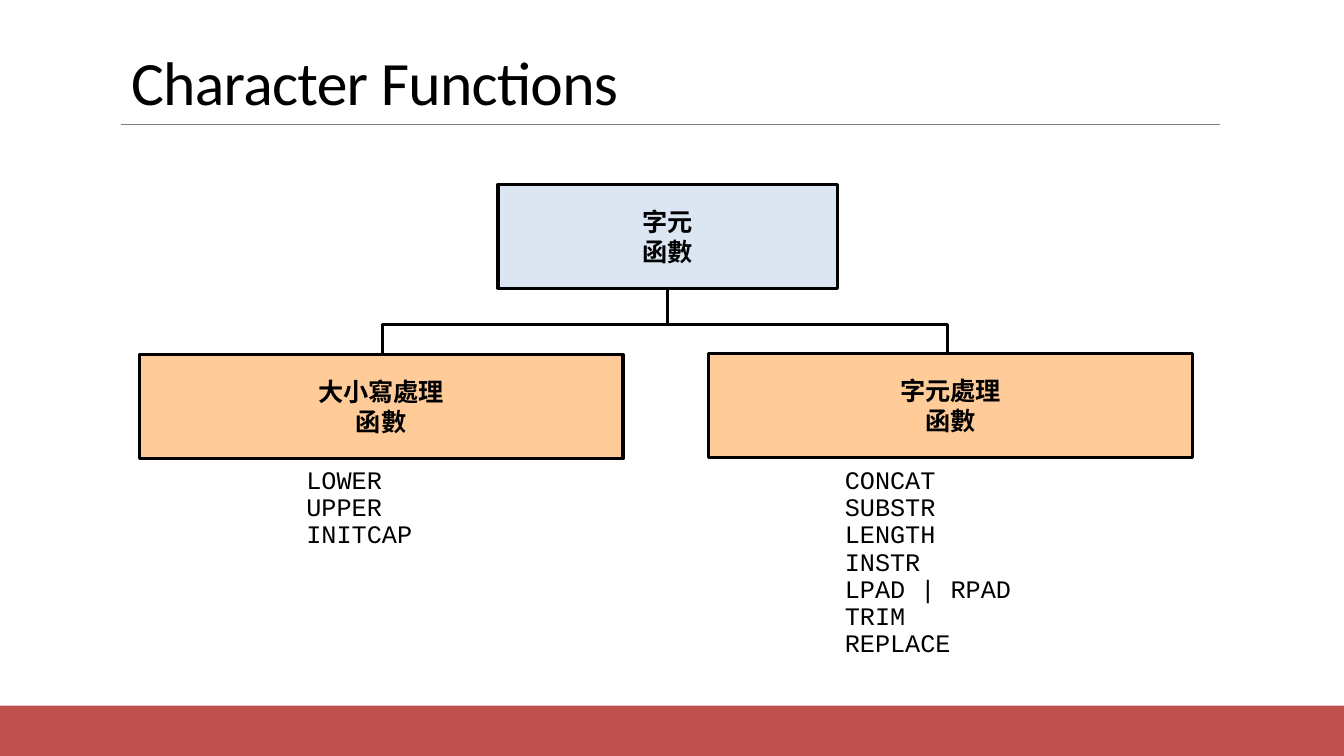
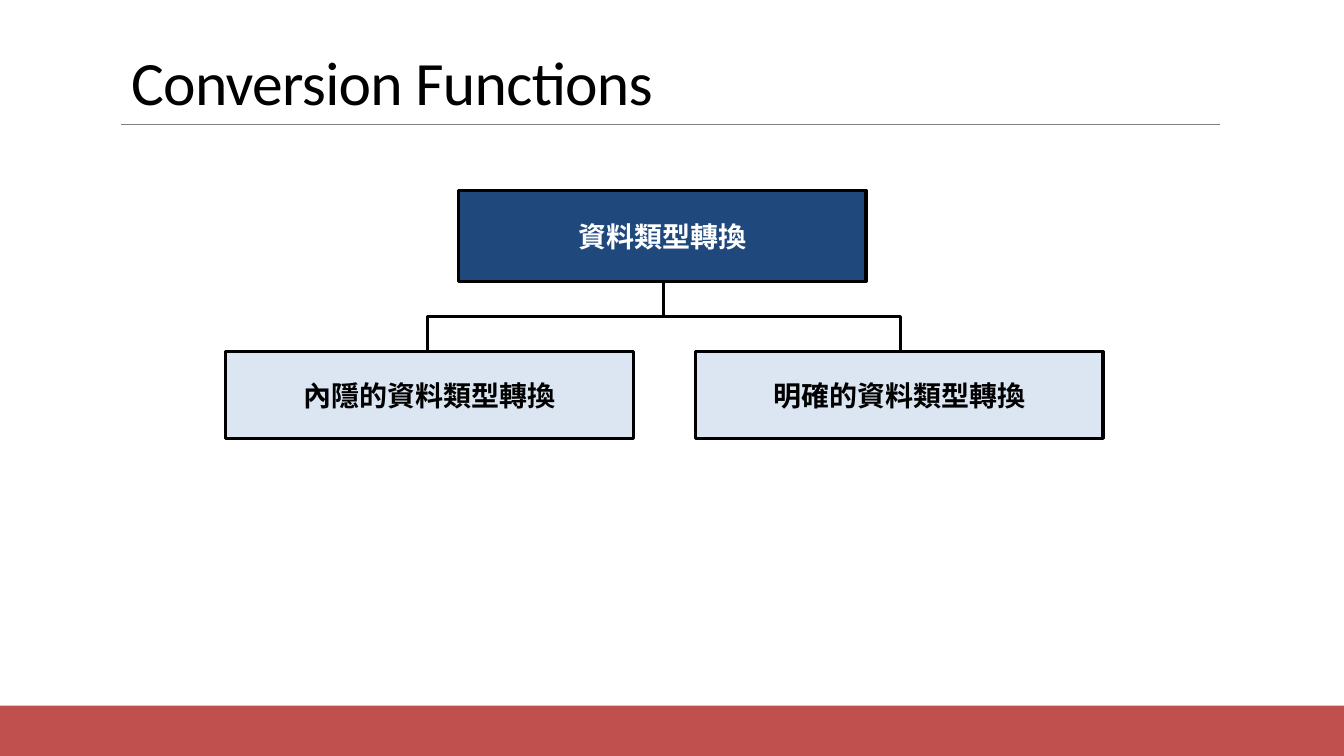
from dataclasses import dataclass

from lxml.etree import SubElement
from pptx import Presentation
from pptx.dml.color import RGBColor
from pptx.enum.shapes import MSO_CONNECTOR as Connector, MSO_SHAPE as Shape
from pptx.enum.text import MSO_ANCHOR as Anchor, MSO_AUTO_SIZE as AutoSize, PP_ALIGN as Align
from pptx.oxml.ns import qn
from pptx.slide import Slide, SlideLayout
from pptx.util import Inches, Pt

COLORS = {
    "black": "000000",
    "white": "FFFFFF",
    "band": "C0504D",
    "rule": "808080",
    "pale": "DCE6F2",
    "peach": "FFCC99",
    "navy": "1F497D",
}
TITLE_FONT = "Calibri"
CODE_FONT = "Courier New"
CJK_FONT = "Noto Sans CJK SC"
OUTLINE = 2.25


@dataclass(frozen=True)
class Node:
    text: str
    left: float
    top: float
    width: float
    height: float
    fill: str
    ink: str = "black"


@dataclass(frozen=True)
class CodeList:
    names: tuple[str, ...]
    left: float
    top: float
    width: float
    height: float


@dataclass(frozen=True)
class Branch:
    stem_x: float
    stem_top: float
    bar_y: float
    left_x: float
    right_x: float
    bottom: float


@dataclass(frozen=True)
class Diagram:
    title: str
    font: str
    size: int
    branch: Branch
    nodes: tuple[Node, ...]
    lists: tuple[CodeList, ...] = ()


DIAGRAMS = (
    Diagram(
        "Character Functions", TITLE_FONT, 18,
        Branch(6.62, 2.86, 3.22, 3.79, 9.4, 3.7),
        (
            Node("字元\n函數", 4.94, 1.83, 3.37, 1.03, "pale"),
            Node("大小寫處理\n函數", 1.38, 3.52, 4.8, 1.03, "peach"),
            Node("字元處理\n函數", 7.03, 3.51, 4.8, 1.03, "peach"),
        ),
        (
            CodeList(("LOWER", "UPPER", "INITCAP"), 2.94, 4.59, 1.3, 0.92),
            CodeList(
                ("CONCAT", "SUBSTR", "LENGTH", "INSTR", "LPAD | RPAD", "TRIM", "REPLACE"),
                8.28, 4.59, 2.51, 2.01,
            ),
        ),
    ),
    Diagram(
        "Conversion Functions", CJK_FONT, 20,
        Branch(6.58, 2.49, 3.14, 4.24, 8.93, 3.7),
        (
            Node("資料類型轉換", 4.55, 1.89, 4.04, 0.9, "navy", "white"),
            Node("內隱的資料類型轉換", 2.24, 3.49, 4.04, 0.86, "pale"),
            Node("明確的資料類型轉換", 6.9, 3.49, 4.04, 0.86, "pale"),
        ),
    ),
)


def color(name: str) -> RGBColor:
    return RGBColor.from_string(COLORS[name])


def style_text(shape, font: str, size: int, ink: str = "black", bold: bool = False,
               align=Align.LEFT, spacing: float = 1.0) -> None:
    for para in shape.text_frame.paragraphs:
        para.alignment = align
        para.line_spacing = spacing
        for span in para.runs:
            span.font.name = font
            span.font.size = Pt(size)
            span.font.bold = bold
            span.font.color.rgb = color(ink)
    for properties in shape.element.iter(qn("a:rPr")):
        SubElement(properties, qn("a:ea")).set("typeface", font)


def add_line(page: Slide, start: tuple[float, float], end: tuple[float, float],
             ink: str, width: float):
    line = page.shapes.add_connector(
        Connector.STRAIGHT, *(Inches(value) for value in (*start, *end))
    )
    line.line.color.rgb = color(ink)
    line.line.width = Pt(width)
    SubElement(line.element.spPr, qn("a:effectLst"))
    return line


def add_box(page: Slide, left: float, top: float, width: float, height: float, fill: str):
    box = page.shapes.add_shape(
        Shape.RECTANGLE, Inches(left), Inches(top), Inches(width), Inches(height)
    )
    box.shadow.inherit = False
    box.fill.solid()
    box.fill.fore_color.rgb = color(fill)
    box.line.fill.background()
    return box


def decorate_layout(layout: SlideLayout, page: Slide) -> None:
    band = add_box(page, 0, 7, 13.33, 0.5, "band")
    rule = add_line(page, (1.2, 1.23), (12.1, 1.23), "rule", 0.5)
    for part in (band, rule):
        layout.shapes.element.append(part.element)


def set_title(page: Slide, text: str) -> None:
    title = page.shapes.title
    title.left, title.top = Inches(1.2), Inches(0.31)
    title.width, title.height = Inches(11), Inches(0.91)
    frame = title.text_frame
    frame.text = text
    frame.vertical_anchor = Anchor.BOTTOM
    frame.auto_size = AutoSize.NONE
    style_text(title, TITLE_FONT, 44, spacing=0.85)
    for properties in title.element.iter(qn("a:rPr")):
        properties.set("spc", "-50")


def add_branch(page: Slide, branch: Branch) -> None:
    add_line(page, (branch.stem_x, branch.stem_top), (branch.stem_x, branch.bar_y),
             "black", OUTLINE)
    points = [
        (Inches(x), Inches(y))
        for x, y in (
            (branch.left_x, branch.bottom),
            (branch.left_x, branch.bar_y),
            (branch.right_x, branch.bar_y),
            (branch.right_x, branch.bottom),
        )
    ]
    builder = page.shapes.build_freeform(*points[0])
    builder.add_line_segments(points[1:], close=False)
    bracket = builder.convert_to_shape()
    bracket.shadow.inherit = False
    bracket.fill.background()
    bracket.line.color.rgb = color("black")
    bracket.line.width = Pt(OUTLINE)


def add_node(page: Slide, node: Node, font: str, size: int) -> None:
    box = add_box(page, node.left, node.top, node.width, node.height, node.fill)
    box.line.color.rgb = color("black")
    box.line.width = Pt(OUTLINE)
    frame = box.text_frame
    frame.text = node.text
    frame.word_wrap = False
    frame.vertical_anchor = Anchor.MIDDLE
    style_text(box, font, size, node.ink, bold=True, align=Align.CENTER)


def add_code_list(page: Slide, code: CodeList) -> None:
    box = page.shapes.add_textbox(
        Inches(code.left), Inches(code.top), Inches(code.width), Inches(code.height)
    )
    frame = box.text_frame
    frame.text = "\n".join(code.names)
    frame.word_wrap = True
    frame.auto_size = AutoSize.SHAPE_TO_FIT_TEXT
    style_text(box, CODE_FONT, 18, spacing=0.9)


def draw_diagram(page: Slide, diagram: Diagram) -> None:
    set_title(page, diagram.title)
    add_branch(page, diagram.branch)
    for node in diagram.nodes:
        add_node(page, node, diagram.font, diagram.size)
    for code in diagram.lists:
        add_code_list(page, code)


def main() -> None:
    deck = Presentation()
    deck.slide_width, deck.slide_height = Inches(13.33), Inches(7.5)
    layout = deck.slide_layouts.get_by_name("Title Only")
    pages = [deck.slides.add_slide(layout) for _ in DIAGRAMS]
    decorate_layout(layout, pages[0])
    for page, diagram in zip(pages, DIAGRAMS):
        draw_diagram(page, diagram)
    deck.save("out.pptx")


if __name__ == "__main__":
    main()
